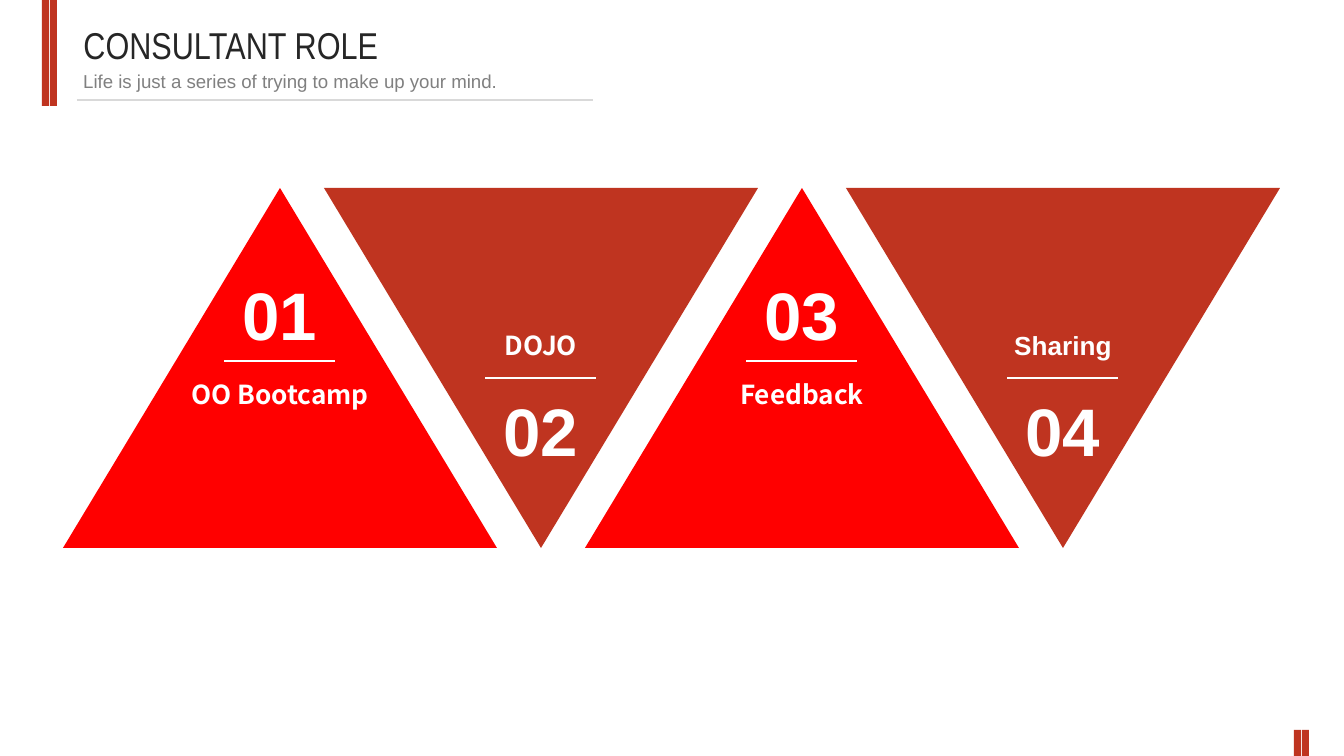
from lxml import etree
from pptx import Presentation
from pptx.dml.color import RGBColor
from pptx.enum.shapes import MSO_CONNECTOR, MSO_SHAPE
from pptx.enum.text import MSO_ANCHOR, MSO_AUTO_SIZE, PP_ALIGN
from pptx.oxml.ns import qn
from pptx.util import Pt

# Content
TITLE = "CONSULTANT ROLE"
SUBTITLE = "Life is just a series of trying to make up your mind.\u00a0"
ROLES = [  # number, label, label font
    ("01", "OO Bootcamp", "Noto Sans CJK SC"),
    ("02", "DOJO", "Noto Sans CJK SC"),
    ("03", "Feedback", "Noto Sans CJK SC"),
    ("04", "Sharing", "Arial"),
]

THEME = {
    "brick": "BF3420", "red": "FF0000", "white": "FFFFFF",
    "ink": "262626", "grey": "808080", "rule": "D9D9D9",
    "body": "Arial", "heading": "Arial Narrow",
    "title_pt": 20, "subtitle_pt": 10, "number_pt": 36, "label_pt": 14,
    "rule_pt": 0.75,
}

# Layout, in pixels
SLIDE_W, SLIDE_H = 1344, 756
BAR_W = 7
BARS = [(42, 0, 106), (50, 0, 106), (1294, 730, 26), (1302, 730, 26)]
FIRST_CENTRE, PITCH = 280, 261
TRI_TOP, TRI_W, TRI_H = 188, 434, 360
LABEL_W, LABEL_H, NUMBER_W, NUMBER_H, RULE_W = 238, 46, 144, 95, 111
UP = {"fill": "red", "number": 267, "rule": 361, "label": 372}
DOWN = {"fill": "brick", "number": 383, "rule": 378, "label": 323}


def px(value):
    return round(value * 914400 / 134.4)


def colour(name):
    return RGBColor.from_string(THEME[name])


prs = Presentation()
prs.slide_width, prs.slide_height = px(SLIDE_W), px(SLIDE_H)
slide = prs.slides.add_slide(prs.slide_layouts[5])


def add_solid(kind, x, y, w, h, fill):
    shape = slide.shapes.add_shape(kind, px(x), px(y), px(w), px(h))
    shape.shadow.inherit = False
    shape.fill.solid()
    shape.fill.fore_color.rgb = colour(fill)
    shape.line.fill.background()
    return shape


def add_rule(x, y, w, line):
    rule = slide.shapes.add_connector(
        MSO_CONNECTOR.STRAIGHT, px(x), px(y), px(x + w), px(y))
    rule.line.color.rgb = colour(line)
    rule.line.width = Pt(THEME["rule_pt"])
    etree.SubElement(rule._element.spPr, qn("a:effectLst"))


def set_text(shape, text, font, size, ink, align=PP_ALIGN.LEFT, bold=False):
    frame = shape.text_frame
    frame.word_wrap = True
    frame.auto_size = MSO_AUTO_SIZE.NONE
    frame.vertical_anchor = MSO_ANCHOR.TOP
    paragraph = frame.paragraphs[0]
    paragraph.alignment = align
    run = paragraph.add_run()
    run.text = text
    run.font.name, run.font.size, run.font.bold = font, Pt(THEME[size]), bold
    run.font.color.rgb = colour(ink)
    east_asian = etree.SubElement(run.font._element, qn("a:ea"))
    east_asian.set("typeface", font)


def add_text(x, y, w, h, *style, **options):
    box = slide.shapes.add_textbox(px(x), px(y), px(w), px(h))
    set_text(box, *style, **options)


# Accent bars
for x, y, height in BARS:
    add_solid(MSO_SHAPE.RECTANGLE, x, y, BAR_W, height, "brick")

# Heading
title = slide.shapes.title
title.left, title.top, title.width, title.height = map(px, (70, 15, 569, 59))
set_text(title, TITLE, THEME["heading"], "title_pt", "ink")
add_text(70, 63, 569, 36, SUBTITLE, THEME["body"], "subtitle_pt", "grey")
add_rule(77, 100, 516, "rule")

# Alternating triangles with number, rule and label
for i, (number, label, label_font) in enumerate(ROLES):
    centre = FIRST_CENTRE + i * PITCH
    way = DOWN if i % 2 else UP
    triangle = add_solid(MSO_SHAPE.ISOSCELES_TRIANGLE, centre - TRI_W / 2,
                         TRI_TOP, TRI_W, TRI_H, way["fill"])
    triangle.rotation = 180 if way is DOWN else 0
    for text, font, size, y, w, h in (
        (label, label_font, "label_pt", way["label"], LABEL_W, LABEL_H),
        (number, THEME["body"], "number_pt", way["number"], NUMBER_W, NUMBER_H),
    ):
        add_text(centre - w / 2, y, w, h, text, font, size, "white",
                 align=PP_ALIGN.CENTER, bold=True)
    add_rule(centre - RULE_W / 2, way["rule"], RULE_W, "white")

prs.save("out.pptx")
